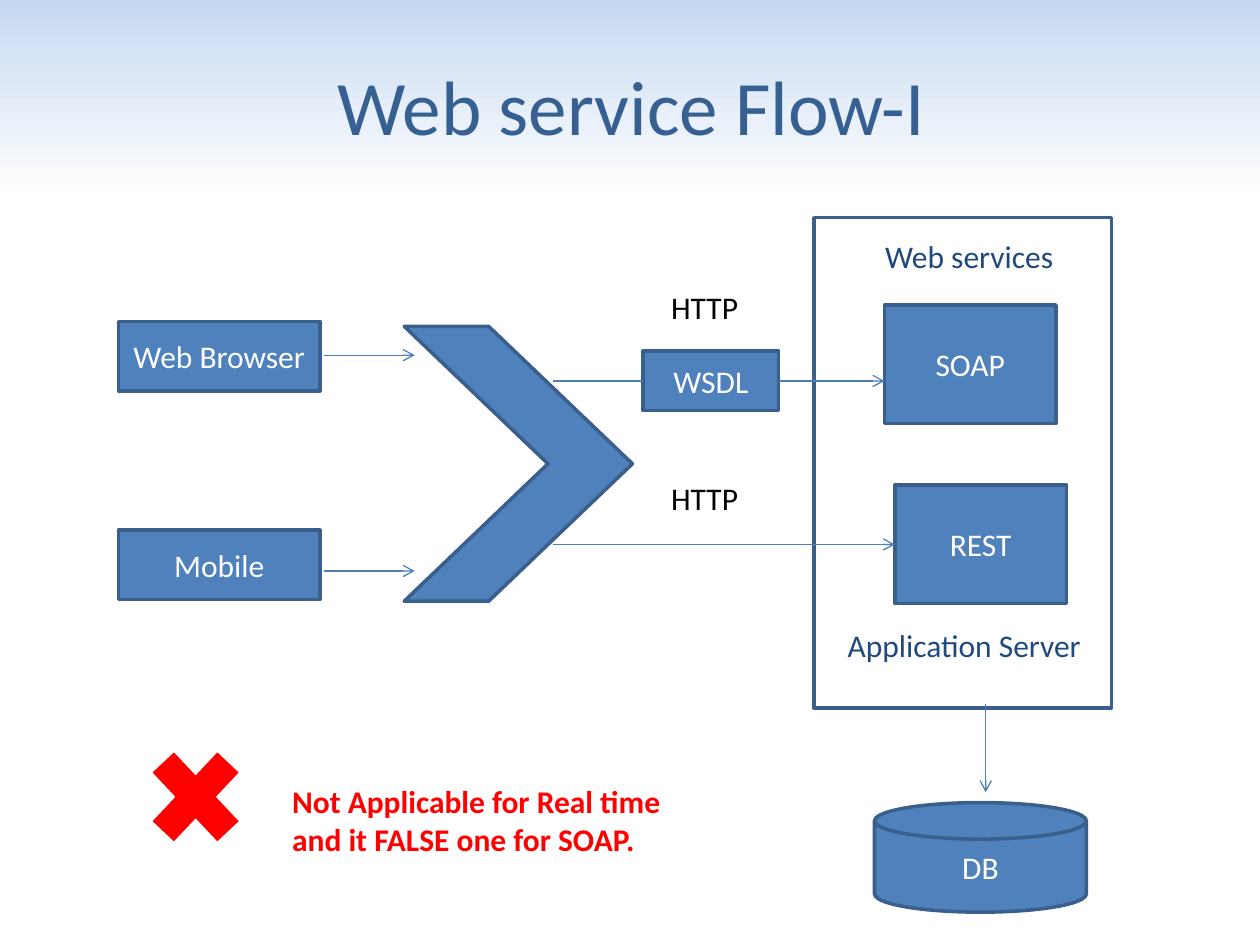
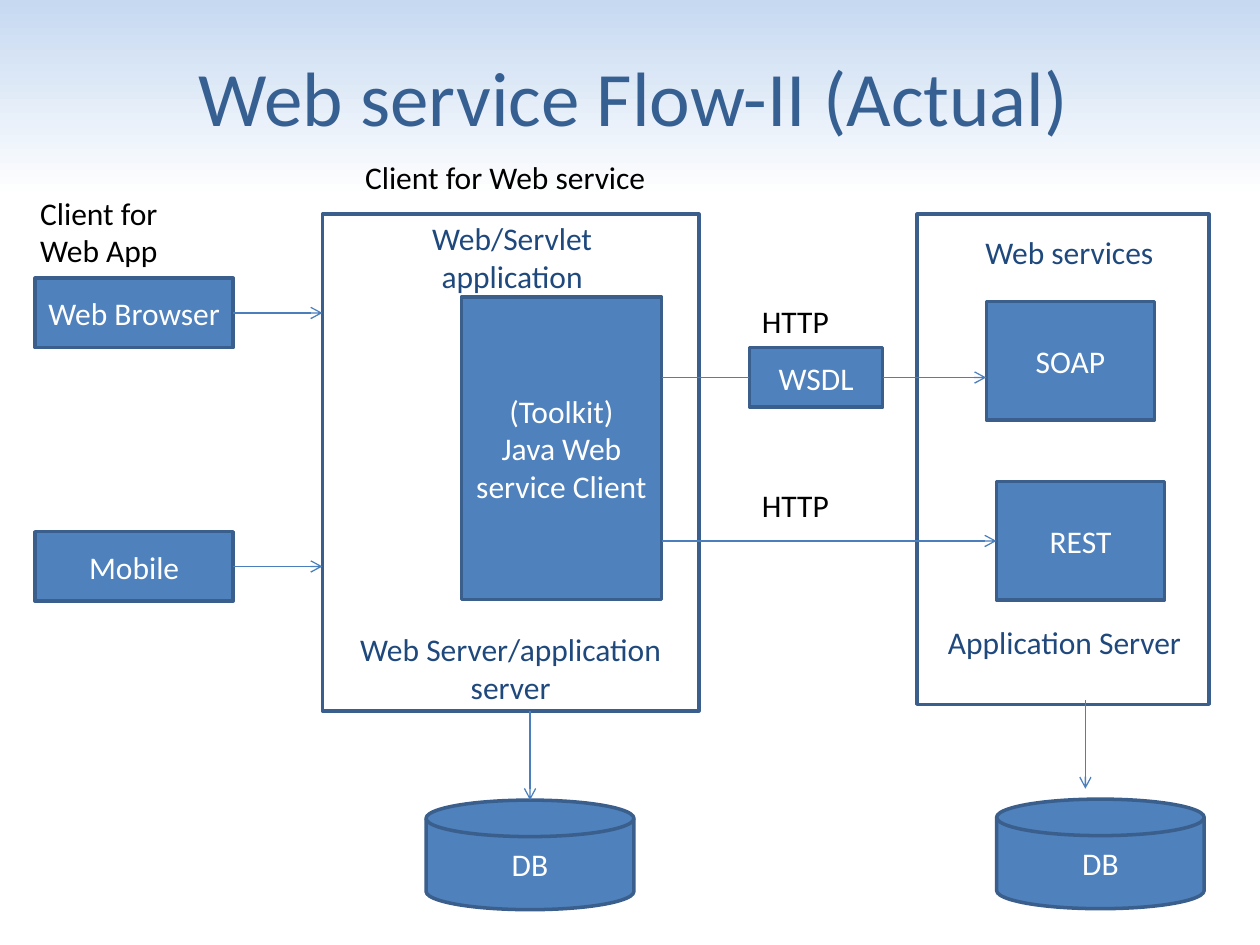
from dataclasses import dataclass
from typing import Optional, Union

from lxml.etree import SubElement
from pptx import Presentation
from pptx.dml.color import RGBColor as Rgb
from pptx.enum.shapes import MSO_CONNECTOR as Wire, MSO_SHAPE as Form
from pptx.enum.text import MSO_ANCHOR as Anchor, PP_ALIGN as Align
from pptx.oxml.ns import qn
from pptx.shapes.autoshape import Shape
from pptx.slide import Slide
from pptx.util import Cm, Pt

FONT = "Calibri"
COLORS = {
    "sky": "C6D9F1", "white": "FFFFFF", "black": "000000", "title": "376092",
    "box": "4F81BD", "edge": "3A5F8C", "wire": "4B7EBC", "navy": "1F497D",
    "red": "FF0000",
}
LEFT, RIGHT, TOP = 1, 3, 0  # connection sites of a shape


@dataclass
class Box:
    text: str
    left: float
    top: float
    width: float
    height: float
    form: Form = Form.RECTANGLE
    fill: Optional[str] = "box"
    edge: Optional[str] = "edge"


@dataclass
class Label:
    text: str
    left: float
    top: float
    width: float
    height: float = 1.02
    color: str = "black"
    size: int = 18
    bold: bool = False
    align: Align = Align.LEFT
    anchor: Anchor = Anchor.TOP


@dataclass
class Port:
    shape: Shape
    site: int


End = Union[tuple[float, float], Port]


def color(name: str) -> Rgb:
    return Rgb.from_string(COLORS[name])


def write(shape: Shape, item: Union[Box, Label], tone: str, size: int = 18,
          bold: bool = False, align: Align = Align.CENTER,
          anchor: Anchor = Anchor.MIDDLE) -> None:
    frame = shape.text_frame
    frame.word_wrap = True
    frame.vertical_anchor = anchor
    frame.text = item.text
    for para in frame.paragraphs:
        para.alignment = align
        for run in para.runs:
            font = run.font
            font.name, font.size, font.bold = FONT, Pt(size), bold
            font.color.rgb = color(tone)


def draw_box(slide: Slide, box: Box) -> Shape:
    shape = slide.shapes.add_shape(
        box.form, Cm(box.left), Cm(box.top), Cm(box.width), Cm(box.height))
    shape.shadow.inherit = False
    if box.fill:
        shape.fill.solid()
        shape.fill.fore_color.rgb = color(box.fill)
    else:
        shape.fill.background()
    if box.edge:
        shape.line.color.rgb = color(box.edge)
        shape.line.width = Pt(2)
    else:
        shape.line.fill.background()
    if box.text:
        write(shape, box, "white")
    return shape


def draw_label(slide: Slide, label: Label) -> None:
    shape = slide.shapes.add_textbox(
        Cm(label.left), Cm(label.top), Cm(label.width), Cm(label.height))
    write(shape, label, label.color, label.size, label.bold,
          label.align, label.anchor)


def draw_link(slide: Slide, start: End, end: End, arrow: bool = True) -> None:
    """Join two ends; a port takes the row or column of the other end."""
    spots = [(0, 0) if isinstance(e, Port) else e for e in (start, end)]
    (x1, y1), (x2, y2) = spots
    link = slide.shapes.add_connector(
        Wire.STRAIGHT, Cm(x1), Cm(y1), Cm(x2), Cm(y2))
    if isinstance(start, Port):
        link.begin_connect(start.shape, start.site)
        if start.site in (LEFT, RIGHT):
            link.end_y = link.begin_y
    if isinstance(end, Port):
        link.end_connect(end.shape, end.site)
        if end.site in (LEFT, RIGHT):
            link.begin_y = link.end_y
        else:
            link.begin_x = link.end_x
    link.line.color.rgb = color("wire")
    link.line.width = Pt(0.75)
    if arrow:
        SubElement(link.line._get_or_add_ln(), qn("a:tailEnd"), type="arrow")
    SubElement(link._element.spPr, qn("a:effectLst"))


def new_slide(deck: Presentation, title: str, left: float, top: float) -> Slide:
    slide = deck.slides.add_slide(deck.slide_layouts[6])
    fill = slide.background.fill
    fill.gradient()
    fill.gradient_angle = 270
    for stop, spot, tone in zip(fill.gradient_stops, (0, 0.21), ("sky", "white")):
        stop.position = spot
        stop.color.rgb = color(tone)
    draw_label(slide, Label(title, left, top, 22.86, 3.18, "title", 44,
                            align=Align.CENTER, anchor=Anchor.MIDDLE))
    return slide


def draw_disk(slide: Slide, left: float, top: float, width: float) -> Shape:
    return draw_box(slide, Box("DB", left, top, width, 2.21,
                               Form.FLOWCHART_MAGNETIC_DISK))


def draw_clients(slide: Slide, left: float, tops: tuple[float, float],
                 width: float) -> list[Shape]:
    return [draw_box(slide, Box(text, left, top, width, 1.4))
            for text, top in zip(("Web Browser", "Mobile"), tops)]


def draw_server(slide: Slide, left: float, top: float, scale: float,
                disk: float) -> None:
    """Application server with its services, calls and database."""
    def at(x: float) -> float:
        return left + x * scale

    def part(text: str, x: float, y: float, width: float, height: float,
             fill: Optional[str] = "box") -> Shape:
        return draw_box(slide, Box(text, at(x), top + y, width * scale,
                                   height, fill=fill))

    part("", 0, 0, 6, 9.88, None)
    wsdl = part("WSDL", -3.45, 2.69, 2.74, 1.2)
    part("SOAP", 1.42, 1.76, 3.46, 2.39)
    rest = part("REST", 1.63, 5.39, 3.46, 2.39)
    draw_disk(slide, disk, top + 11.79, 4.27 * scale)

    # Calls to the services and the database
    call = top + 3.29
    draw_link(slide, (at(-5.26), call), Port(wsdl, LEFT), arrow=False)
    draw_link(slide, Port(wsdl, RIGHT), (at(1.42), call))
    draw_link(slide, (at(-5.26), top + 6.6), Port(rest, LEFT))
    draw_link(slide, (at(3.46), top + 9.8), (at(3.46), top + 11.58))

    for text, x, y in (("Web services", 0.36, 0.26),
                       ("Application Server", 0.26, 8.11)):
        draw_label(slide, Label(text, at(x), top + y, 5.54 * scale,
                                color="navy", align=Align.CENTER))


def draw_http(slide: Slide, left: float, tops: tuple[float, float]) -> None:
    for top in tops:
        draw_label(slide, Label("HTTP", left, top, 4.29))


def flow_one(deck: Presentation) -> None:
    slide = new_slide(deck, "Web service Flow-I", 1.3, 0.53)
    draw_http(slide, 13.28, (5.69, 9.53))
    draw_clients(slide, 2.39, (6.48, 10.69), 4.06)
    for row in (7.16, 11.51):
        draw_link(slide, (6.53, row), (8.36, row))
    draw_server(slide, 16.41, 4.39, 1, 17.63)
    gate = draw_box(slide, Box("", 8.15, 6.58, 4.6, 5.54, Form.CHEVRON))
    gate.adjustments[0] = 0.63

    # Warning
    draw_box(slide, Box("", 2.69, 14.73, 2.51, 2.67, Form.MATH_MULTIPLY,
                        "red", None))
    draw_label(slide, Label(
        "Not Applicable for Real time and it FALSE one for SOAP.",
        5.64, 15.65, 8.51, 1.8, "red", bold=True))


def flow_two(deck: Presentation) -> None:
    slide = new_slide(deck, "Web service Flow-II (Actual)", 1.35, 0.33)
    clients = draw_clients(slide, 0.71, (5.61, 10.72), 3.99)

    # Web server with the service client
    draw_box(slide, Box("", 6.5, 4.32, 7.59, 10.01, fill=None))
    draw_box(slide, Box("(Toolkit)\nJava Web service Client",
                        9.3, 5.99, 4.04, 6.1))
    store = draw_disk(slide, 8.59, 16.13, 4.19)
    for client in clients:
        draw_link(slide, Port(client, RIGHT), (6.5, 0))
    draw_link(slide, (0, 14.33), Port(store, TOP))
    draw_server(slide, 18.49, 4.32, 0.98, 20.09)

    # Captions
    for label in (
        Label("Web Server/application server", 6.5, 12.57, 7.59, 1.8,
              "navy", align=Align.CENTER),
        Label("Web/Servlet application", 7.11, 4.29, 6.43, 1.8,
              "navy", align=Align.CENTER),
        Label("Client for Web service", 7.11, 3.07, 6.43),
        Label("Client for Web App", 0.56, 3.78, 3.53, 1.8),
    ):
        draw_label(slide, label)
    draw_http(slide, 15.11, (5.97, 9.68))


def main() -> None:
    deck = Presentation()
    deck.slide_width, deck.slide_height = Cm(25.4), Cm(19.05)
    flow_one(deck)
    flow_two(deck)
    deck.save("out.pptx")


if __name__ == "__main__":
    main()
